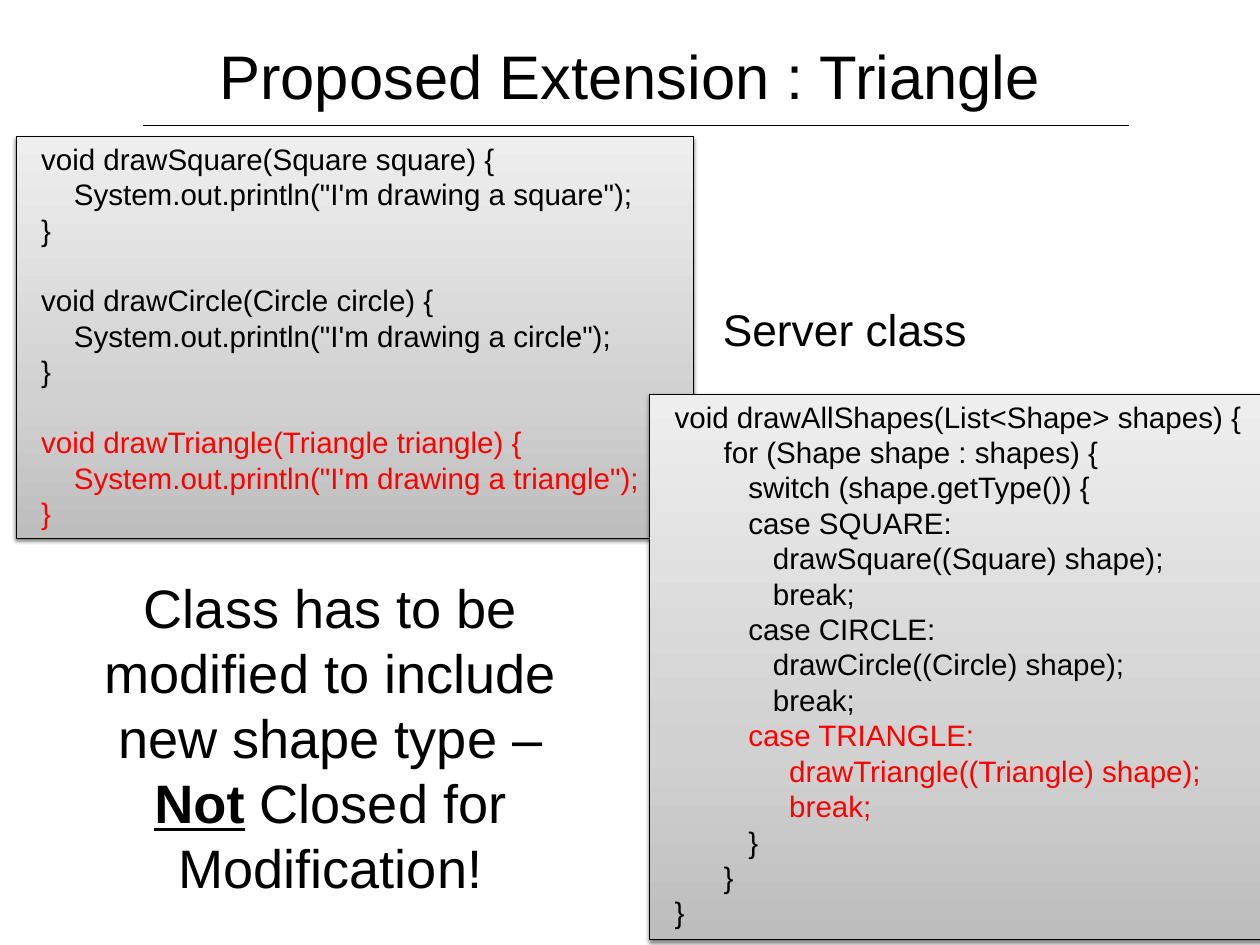
from pptx import Presentation
from pptx.dml.color import RGBColor
from pptx.enum.shapes import MSO_CONNECTOR, MSO_SHAPE
from pptx.enum.text import MSO_ANCHOR, PP_ALIGN
from pptx.oxml import parse_xml
from pptx.oxml.ns import nsdecls
from pptx.util import Inches, Pt

WIDTH, HEIGHT = Inches(14.22), Inches(10.67)
BLACK, RED = "000000", "FF0000"
BOX_GRADIENT = [(0, "BDBDBD"), (35, "D1D1D1"), (100, "EEEEEE")]

DRAWING_METHODS = """\
  void drawSquare(Square square) {
      System.out.println("I'm drawing a square");
  }
 
  void drawCircle(Circle circle) {
      System.out.println("I'm drawing a circle");
  }
 
  void drawTriangle(Triangle triangle) {
      System.out.println("I'm drawing a triangle");
  }"""

DRAW_ALL_SHAPES = """\
  void drawAllShapes(List<Shape> shapes) {
        for (Shape shape : shapes) {
           switch (shape.getType()) {
           case SQUARE:
              drawSquare((Square) shape);
              break;
           case CIRCLE:
              drawCircle((Circle) shape);
              break;
           case TRIANGLE:
                drawTriangle((Triangle) shape);
                break;
           }
        }
  }"""


def color(value):
    return RGBColor.from_string(value)


def across(percent):
    return round(WIDTH * percent / 100)


def down(percent):
    return round(HEIGHT * percent / 100)


def area(left, top, width, height):
    return across(left), down(top), across(width), down(height)


def format_paragraph(paragraph, size, text_color=BLACK, alignment=PP_ALIGN.LEFT):
    paragraph.alignment = alignment
    paragraph.line_spacing = Pt(1.2 * size)
    paragraph.font.size = Pt(size)
    paragraph.font.name = "Arial"
    paragraph.font.color.rgb = color(text_color)


def set_title(slide, text):
    title = slide.shapes.title
    title.left, title.top, title.width, title.height = area(5, 0, 90, 15.84)
    title.text_frame.text = text
    title.text_frame.vertical_anchor = MSO_ANCHOR.MIDDLE
    format_paragraph(title.text_frame.paragraphs[0], 50, alignment=PP_ALIGN.CENTER)


def add_title_rule(slide):
    rule = slide.shapes.add_connector(
        MSO_CONNECTOR.STRAIGHT, across(11.39), down(13.31), across(89.59), down(13.31))
    rule.line.color.rgb = color(BLACK)
    rule.line.width = Pt(1)
    rule._element.spPr.append(parse_xml(f"<a:effectLst {nsdecls('a')}/>"))


def style_box(shape):
    shape.line.color.rgb = color(BLACK)
    shape.line.width = Pt(0.75)
    shape.shadow.inherit = False
    properties = shape._element.spPr
    stops = "".join(
        f'<a:gs pos="{position * 1000}"><a:srgbClr val="{value}"/></a:gs>'
        for position, value in BOX_GRADIENT)
    properties.prstGeom.addnext(parse_xml(
        f'<a:gradFill {nsdecls("a")} rotWithShape="1"><a:gsLst>{stops}</a:gsLst>'
        '<a:lin ang="16200000" scaled="0"/></a:gradFill>'))
    properties[-1].append(parse_xml(
        f'<a:outerShdw {nsdecls("a")} blurRad="{Pt(3)}" dist="{Pt(2)}" dir="5400000" '
        f'rotWithShape="0"><a:srgbClr val="{BLACK}"><a:alpha val="50000"/></a:srgbClr>'
        '</a:outerShdw>'))


def add_code_box(slide, box_area, code, red_lines):
    shape = slide.shapes.add_shape(MSO_SHAPE.RECTANGLE, *box_area)
    style_box(shape)
    frame = shape.text_frame
    frame.word_wrap = True
    frame.vertical_anchor = MSO_ANCHOR.TOP
    frame.text = code
    for number, paragraph in enumerate(frame.paragraphs):
        format_paragraph(paragraph, 24, RED if number in red_lines else BLACK)


def add_text(slide, box_area, paragraphs, size, alignment=PP_ALIGN.LEFT, wrap=True):
    frame = slide.shapes.add_textbox(*box_area).text_frame
    frame.word_wrap = wrap
    for number, runs in enumerate(paragraphs):
        paragraph = frame.add_paragraph() if number else frame.paragraphs[0]
        format_paragraph(paragraph, size, alignment=alignment)
        for text, emphasized in runs:
            run = paragraph.add_run()
            run.text = text
            if emphasized:
                run.font.bold = run.font.underline = True


def main():
    presentation = Presentation()
    presentation.slide_width, presentation.slide_height = WIDTH, HEIGHT
    slide = presentation.slides.add_slide(presentation.slide_layouts[5])
    add_title_rule(slide)
    set_title(slide, "Proposed Extension : Triangle")
    add_code_box(slide, area(1.27, 14.43, 53.73, 42.55), DRAWING_METHODS, range(8, 11))
    add_text(slide, area(3.52, 60.36, 45.43, 35.61), [
        [("Class has to be modified to include new shape type –", False)],
        [("Not", True), (" Closed for Modification!", False)],
    ], 44, PP_ALIGN.CENTER)
    add_text(slide, area(56.68, 31.49, 21.94, 6.65), [[("Server class", False)]], 36, wrap=False)
    add_code_box(slide, area(51.55, 41.71, 49.37, 57.73), DRAW_ALL_SHAPES, range(9, 12))
    presentation.save("out.pptx")


if __name__ == "__main__":
    main()
